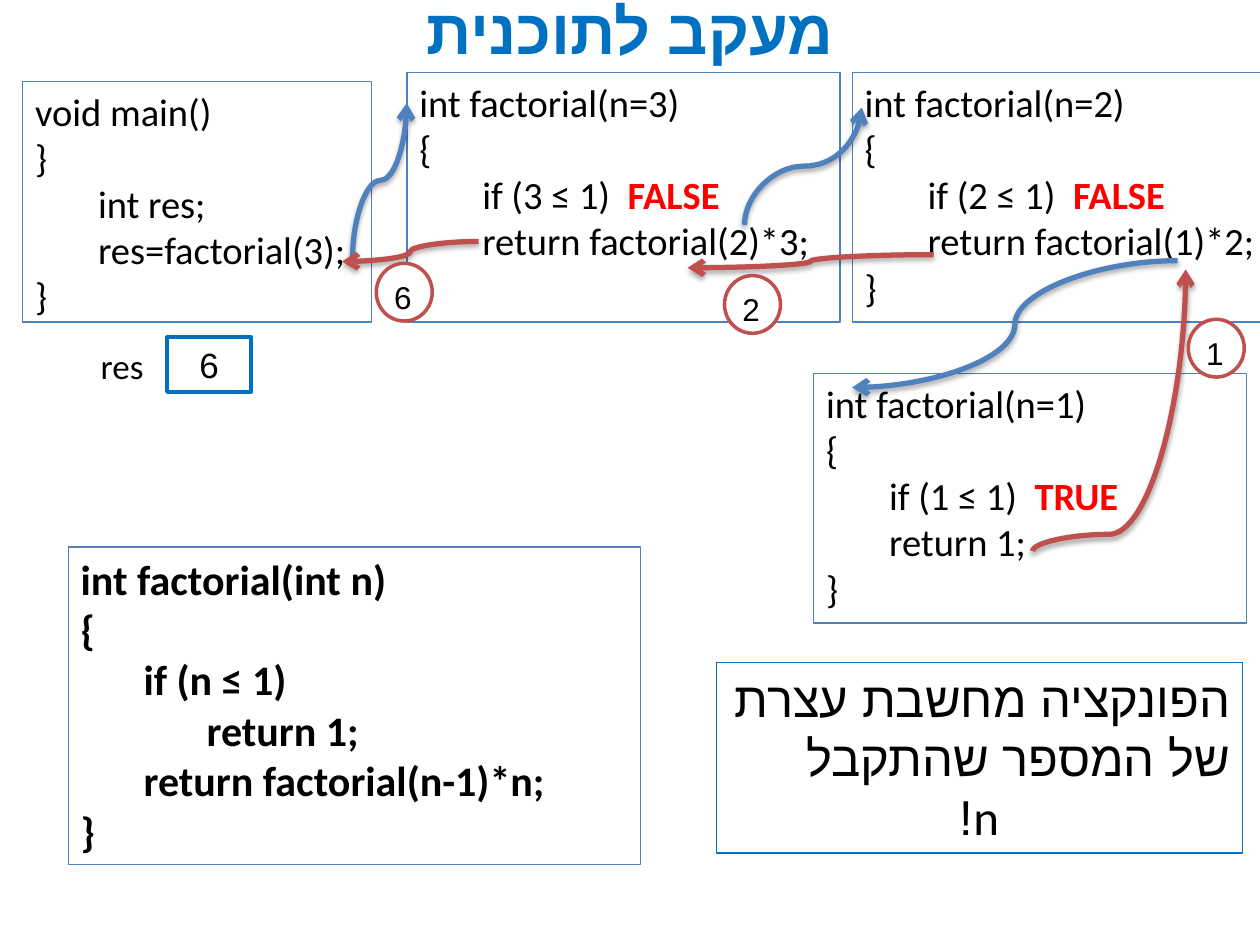
from lxml import etree
from pptx import Presentation
from pptx.dml.color import RGBColor
from pptx.enum import shapes, text
from pptx.oxml import parse_xml
from pptx.oxml.ns import nsdecls, qn
from pptx.util import Pt

BLACK, WHITE, RED = "000000", "FFFFFF", "FF0000"
AZURE, BLUE, BRICK = "0070C0", "4F81BD", "C0504D"
LEFT, CENTER, RIGHT = text.PP_ALIGN.LEFT, text.PP_ALIGN.CENTER, text.PP_ALIGN.RIGHT
RECT, OVAL = shapes.MSO_SHAPE.RECTANGLE, shapes.MSO_SHAPE.OVAL


def rgb(value):
    return RGBColor.from_string(value)


def add_run(p, words, size, font="Calibri", color=BLACK, bold=False):
    r = p.add_run()
    r.text = words
    r.font.size, r.font.name, r.font.bold = Pt(size), font, bold
    r.font.color.rgb = rgb(color)
    cs = etree.SubElement(r.font._element, qn("a:cs"))
    cs.set("typeface", "Arial")


def next_paragraph(tf, align=LEFT, level=0, rtl=False):
    first = tf.paragraphs[0]
    p = tf.add_paragraph() if first.runs else first
    p.alignment, p.level = align, level
    pPr = p._p.get_or_add_pPr()
    pPr.set("marL", str(Pt(36 * level)))
    pPr.set("indent", "0")
    if rtl:
        pPr.set("rtl", "1")
    return p


def add_box(slide, kind, box, line, width, fill=None):
    sp = slide.shapes.add_shape(kind, *map(Pt, box))
    sp.shadow.inherit = False
    if fill:
        sp.fill.solid()
        sp.fill.fore_color.rgb = rgb(fill)
    else:
        sp.fill.background()
    sp.line.color.rgb = rgb(line)
    sp.line.width = Pt(width)
    tf = sp.text_frame
    tf.word_wrap = True
    tf.vertical_anchor = text.MSO_ANCHOR.TOP
    return tf


def add_label(slide, box, words, size, **font):
    tf = slide.shapes.add_textbox(*map(Pt, box)).text_frame
    tf.word_wrap = True
    tf.vertical_anchor = text.MSO_ANCHOR.MIDDLE
    add_run(next_paragraph(tf, CENTER, rtl=True), words, size, **font)


def add_code(slide, box, lines, size=22, bold=False):
    """Lines are (indent level, code, optional red verdict)."""
    tf = add_box(slide, RECT, box, BLUE, 0.75, WHITE)
    for level, code, *verdict in lines:
        p = next_paragraph(tf, level=level)
        add_run(p, code, size, bold=bold)
        for word in verdict:
            add_run(p, word, size, color=RED, bold=True)


def add_call(slide, left, top, n, verdict, result):
    add_code(slide, (left, top, 247.5, 142.5), [
        (0, f"int factorial(n={n})"), (0, "{"),
        (1, f"if ({n} ≤ 1)  ", verdict),
        (1, f"return {result};"), (0, "}")])


def add_curve(slide, start, end, color, upright=False, bend=0.5):
    """Curved arrow; an upright one leaves and arrives vertically, going up."""
    (x1, y1), (x2, y2) = start, end
    if upright:
        # Lay the curve on its side; the quarter turn below stands it up.
        cx, cy = (x1 + x2) / 2, (y1 + y2) / 2
        dx, dy = (x2 - x1) / 2, (y1 - y2) / 2
        x1, y1, x2, y2 = cx + dy, cy + dx, cx - dy, cy - dx
    c = slide.shapes.add_connector(
        shapes.MSO_CONNECTOR.CURVE, *map(Pt, (x1, y1, x2, y2)))
    c.line.color.rgb = rgb(color)
    c.line.width = Pt(3)
    spPr = c._element.spPr
    if upright:
        spPr.find(qn("a:xfrm")).set("rot", "5400000")
    guide = etree.SubElement(spPr.find(f".//{qn('a:avLst')}"), qn("a:gd"))
    guide.set("name", "adj1")
    guide.set("fmla", f"val {round(bend * 100000)}")
    etree.SubElement(spPr.find(qn("a:ln")), qn("a:tailEnd")).set("type", "arrow")
    spPr.append(parse_xml(
        f'<a:effectLst {nsdecls("a")}>'
        f'<a:outerShdw blurRad="{Pt(3.1)}" dist="{Pt(1.8)}" dir="5400000" rotWithShape="0">'
        '<a:srgbClr val="000000"><a:alpha val="35000"/></a:srgbClr>'
        '</a:outerShdw></a:effectLst>'))


def add_return_value(slide, left, top, value):
    tf = add_box(slide, OVAL, (left, top, 32, 33), BRICK, 2, WHITE)
    add_run(next_paragraph(tf, RIGHT, rtl=True), value, 18, "DejaVu Sans")


def main():
    prs = Presentation()
    prs.slide_width, prs.slide_height = Pt(720), Pt(540)
    slide = prs.slides.add_slide(prs.slide_layouts[6])

    add_label(slide, (52.5, -8.5, 615, 50), "מעקב לתוכנית", 36,
              font="Arial", color=AZURE, bold=True)
    add_label(slide, (46, 193, 47.5, 31.5), "res", 20)
    tf = add_box(slide, RECT, (95.5, 192.5, 48, 31.5), AZURE, 2.25)
    add_run(next_paragraph(tf, CENTER, rtl=True), "6", 20)

    add_code(slide, (13, 46.5, 199.5, 137.5), [
        (0, "void main()"), (0, "}"), (1, "int res;"),
        (1, "res=factorial(3);"), (0, "}")])
    add_call(slide, 232.5, 41.5, 3, "FALSE", "factorial(2)*3")
    add_call(slide, 487, 41.5, 2, "FALSE", "factorial(1)*2")
    add_call(slide, 465, 213.5, 1, "TRUE", "1")

    add_curve(slide, (201.5, 147.5), (232.5, 59), BLUE, upright=True)
    add_curve(slide, (425.5, 128.5), (492.5, 61.5), BLUE, upright=True)
    add_curve(slide, (673, 149), (487, 221.5), BLUE)
    add_curve(slide, (590, 315), (677.5, 154), BRICK, upright=True, bend=0.06)
    add_curve(slide, (533.5, 145.5), (393, 153), BRICK)
    add_curve(slide, (273.5, 138), (195.5, 149.5), BRICK)

    add_return_value(slide, 679, 182.5, "1")
    add_return_value(slide, 414, 157.5, "2")
    add_return_value(slide, 215, 150.5, "6")

    add_code(slide, (39, 312.5, 327, 181.5), [
        (0, "int factorial(int n)"), (0, "{"), (1, "if (n ≤ 1)"),
        (2, "return 1;"), (1, "return factorial(n-1)*n;"), (0, "}")],
        size=24, bold=True)

    tf = add_box(slide, RECT, (409.5, 378.5, 300.5, 109), AZURE, 0.75)
    add_run(next_paragraph(tf, RIGHT, rtl=True),
            "הפונקציה מחשבת עצרת של המספר שהתקבל", 28)
    add_run(next_paragraph(tf, CENTER, rtl=True), "n!", 28)

    prs.save("out.pptx")


if __name__ == "__main__":
    main()
